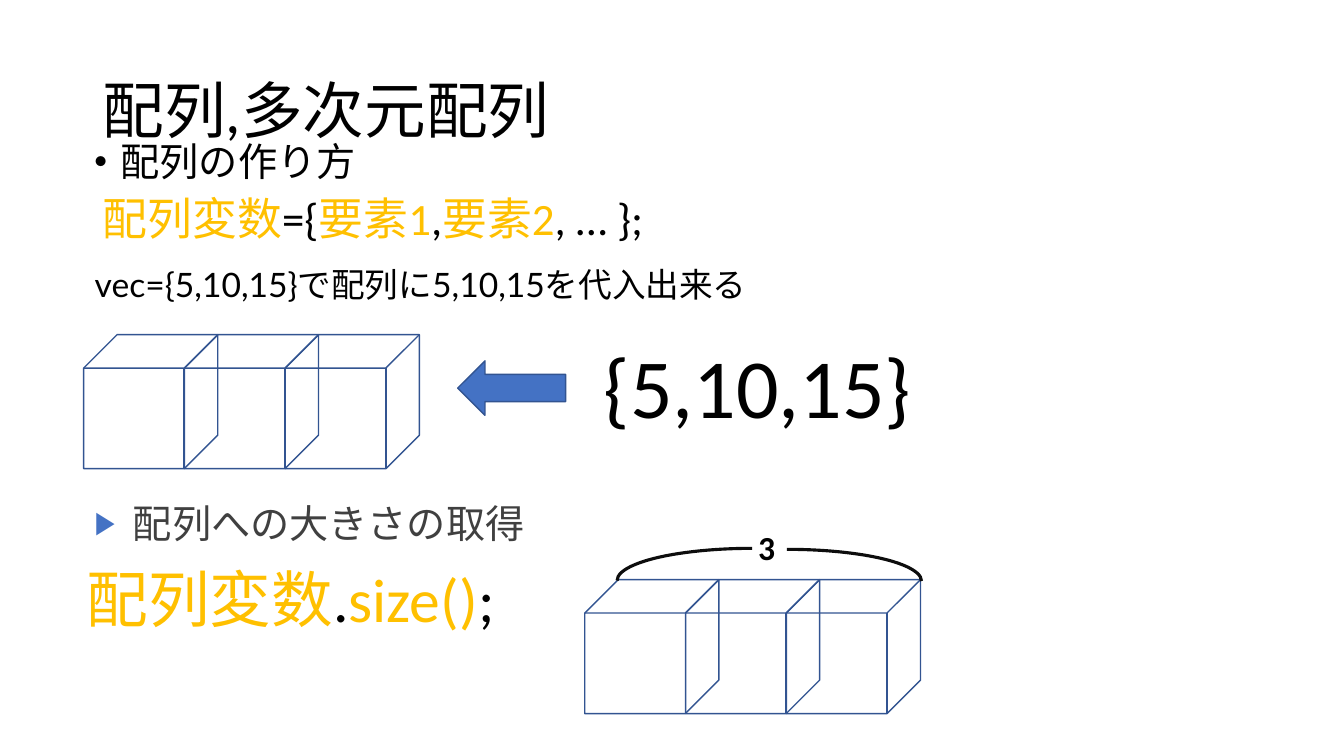
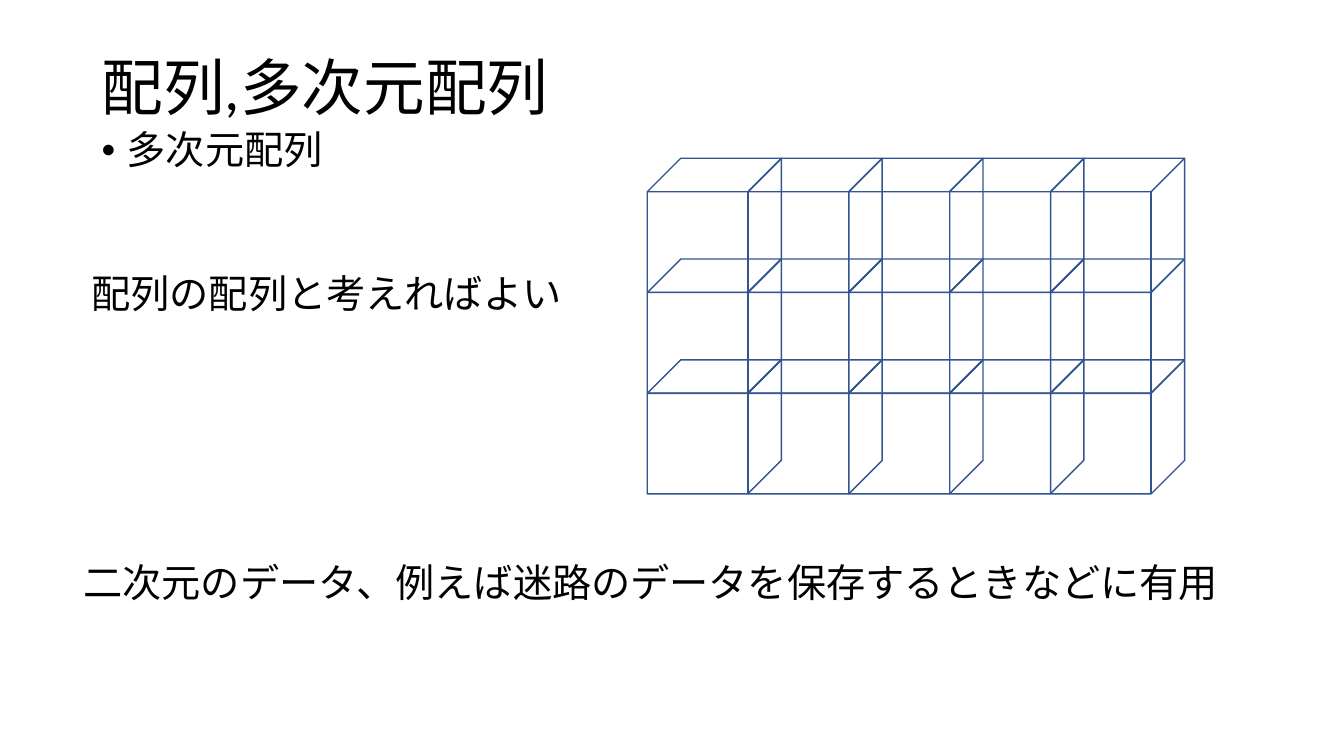
from pptx import Presentation
from pptx.dml.color import RGBColor
from pptx.enum.shapes import MSO_SHAPE
from pptx.enum.text import MSO_ANCHOR
from pptx.oxml.ns import qn
from pptx.util import Inches, Pt
from lxml import etree

CUBE, LEFT_ARROW, ARC = MSO_SHAPE.CUBE, MSO_SHAPE.LEFT_ARROW, MSO_SHAPE.ARC
TOP, MIDDLE = MSO_ANCHOR.TOP, MSO_ANCHOR.MIDDLE

COLORS = {"text": "000000", "key": "FFC000", "blue": "4472C4",
          "edge": "325491", "gray": "404040", "arc": "0D0D0D"}
LATIN, EAST_ASIAN = "Calibri", "Noto Sans CJK JP"
CUBE_SIZE, CUBE_STEP = 1.33, 1.0
# Arc angles, in the units of shape adjustments (0.6 per degree)
QUARTER = 54


def color(name):
    return RGBColor.from_string(COLORS[name])


def add_span(para, text, size=28, fill="text", bold=False,
             font=LATIN, east_asian=EAST_ASIAN):
    span = para.add_run()
    span.text = text
    span.font.size = Pt(size)
    span.font.bold = bold
    span.font.name = font
    span.font.color.rgb = color(fill)
    etree.SubElement(span.font._element, qn("a:ea"), typeface=east_asian)


def add_bullet(para, char, indent, fill=None, percent=100):
    props = para._p.get_or_add_pPr()
    props.set("marL", str(Inches(indent)))
    props.set("indent", str(-Inches(indent)))
    if fill:
        holder = etree.SubElement(props, qn("a:buClr"))
        etree.SubElement(holder, qn("a:srgbClr"), val=COLORS[fill])
    etree.SubElement(props, qn("a:buSzPct"), val=str(percent * 1000))
    etree.SubElement(props, qn("a:buFont"), typeface="Arial")
    etree.SubElement(props, qn("a:buChar"), char=char)


class SlideBuilder:
    def __init__(self):
        self.deck = Presentation()
        self.deck.slide_width = Inches(13.33)
        self.deck.slide_height = Inches(7.5)
        self.page = None

    def new_page(self, title_left, title_top):
        self.page = self.deck.slides.add_slide(self.deck.slide_layouts[6])
        self.text(title_left, title_top, 11.5, 1.45, "配列,多次元配列",
                  size=44, anchor=MIDDLE, line_spacing=0.9)

    def text(self, left, top, width, height, parts, anchor=TOP,
             line_spacing=None, before=None, bullet=None, **style):
        """Parts is a string, or a list of (text, own style) pairs."""
        box = self.page.shapes.add_textbox(
            Inches(left), Inches(top), Inches(width), Inches(height))
        frame = box.text_frame
        frame.word_wrap = True
        frame.vertical_anchor = anchor
        para = frame.paragraphs[0]
        if line_spacing:
            para.line_spacing = line_spacing
        if before:
            para.space_before = Pt(before)
        if bullet:
            add_bullet(para, **bullet)
        if isinstance(parts, str):
            parts = [(parts, {})]
        for text, own in parts:
            add_span(para, text, **{**style, **own})

    def shape(self, kind, left, top, width, height,
              fill=None, line="edge", weight=1):
        shape = self.page.shapes.add_shape(
            kind, Inches(left), Inches(top), Inches(width), Inches(height))
        shape.shadow.inherit = False
        if fill:
            shape.fill.solid()
            shape.fill.fore_color.rgb = color(fill)
        else:
            shape.fill.background()
        shape.line.color.rgb = color(line)
        shape.line.width = Pt(weight)
        return shape

    def cubes(self, left, top, columns, rows=1):
        for row in range(rows):
            for column in range(columns):
                self.shape(CUBE, left + column * CUBE_STEP,
                           top + row * CUBE_STEP, CUBE_SIZE, CUBE_SIZE)

    def arc(self, left, top, width, height, start):
        arc = self.shape(ARC, left, top, width, height,
                         line="arc", weight=2.25)
        arc.adjustments[0] = start
        arc.adjustments[1] = (start + QUARTER) % (4 * QUARTER)


builder = SlideBuilder()
key = {"fill": "key"}

# Slide 1: making an array
builder.new_page(0.92, 0.4)
builder.text(0.71, 1.37, 10.97, 0.63,
             [("・", {"bold": True, "east_asian": LATIN}),
              ("配列の作り方", {})], line_spacing=0.9, before=10)
builder.text(0.92, 1.84, 9.07, 0.64,
             [("配列変数", key), ("={", {}), ("要素1", key), (",", {}),
              ("要素2", key), (", … };", {})], size=32)
builder.text(0.84, 2.57, 7.92, 0.5,
             "vec={5,10,15}で配列に5,10,15を代入出来る", size=24, font="Lato")
builder.cubes(0.83, 3.32, 3)
builder.shape(LEFT_ARROW, 4.54, 3.58, 1.07, 0.54, fill="blue")
builder.text(5.89, 3.27, 3.62, 1.11, "{5,10,15}", size=60)

# Slide 1: size of an array
builder.text(0.84, 4.9, 9.4, 0.6, "配列への大きさの取得", before=10,
             fill="gray", font=EAST_ASIAN,
             bullet={"char": "▶", "indent": 0.38, "fill": "blue",
                     "percent": 80})
builder.text(0.76, 5.52, 9.07, 0.84,
             [("配列変数", key), (".", {}), ("size()", key), (";", {})],
             size=44)
builder.cubes(5.8, 5.75, 3)
builder.arc(6.47, 5.45, 2.67, 0.63, start=3 * QUARTER)
builder.arc(6.12, 5.44, 2.68, 0.64, start=2 * QUARTER)
builder.text(7.42, 5.18, 0.4, 0.5, "3", size=24, bold=True)

# Slide 2: multidimensional arrays
builder.new_page(0.91, 0.17)
builder.text(0.91, 1.25, 5.3, 0.6, "多次元配列", line_spacing=0.9, before=10,
             bullet={"char": "•", "indent": 0.25})
builder.cubes(6.42, 1.57, columns=5, rows=3)
builder.text(0.81, 2.62, 5.33, 0.57, "配列の配列と考えればよい")
builder.text(0.73, 5.49, 12.21, 0.57,
             "二次元のデータ、例えば迷路のデータを保存するときなどに有用")

builder.deck.save("out.pptx")
